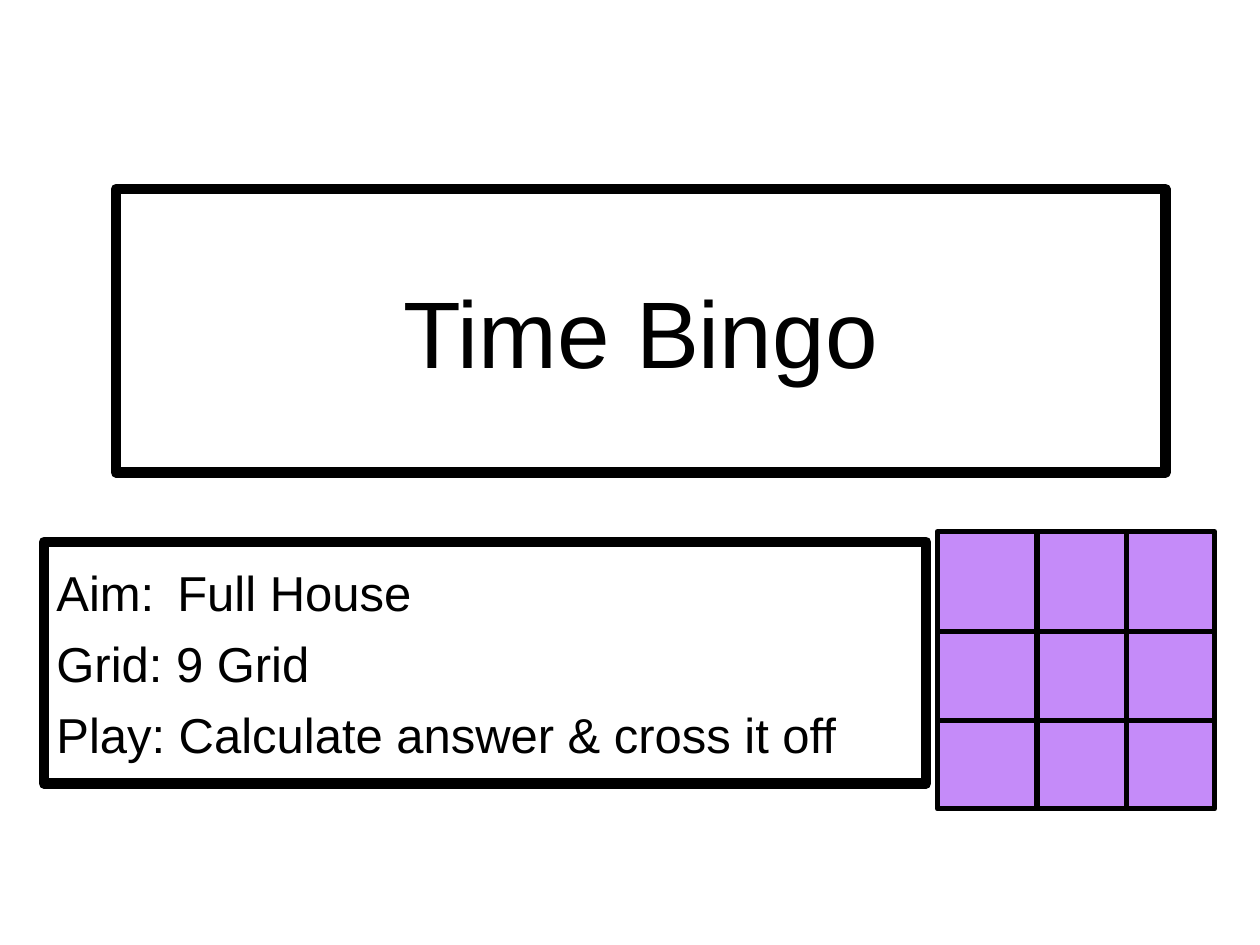
import pptx
import pptx.util
import pptx.dml.color
import pptx.enum.shapes
import pptx.enum.text
import pptx.oxml
import pptx.oxml.ns
from dataclasses import dataclass
from lxml import etree

Inches, Pt = pptx.util.Inches, pptx.util.Pt
RGB = pptx.dml.color.RGBColor.from_string
ALIGN = pptx.enum.text.PP_ALIGN
qn = pptx.oxml.ns.qn


@dataclass
class Theme:
    font: str = "Arial"
    ink: str = "000000"
    paper: str = "FFFFFF"
    card: str = "C58BF9"
    title_size: int = 54
    body_size: int = 28
    frame_width: int = 6
    grid_width: int = 3


class Builder:
    def __init__(self, slide, theme):
        self.s, self.theme = slide, theme

    def outline(self, sp, width):
        sp.line.color.rgb = RGB(self.theme.ink)
        sp.line.width = Pt(width)

    def frame(self, sp):
        """Half-transparent white box with a heavy outline."""
        sp.fill.solid()
        sp.fill.fore_color.rgb = RGB(self.theme.paper)
        color = sp.fill._xPr.find(qn("a:solidFill"))[0]
        etree.SubElement(color, qn("a:alpha"), val="50000")
        self.outline(sp, self.theme.frame_width)
        tf = sp.text_frame
        tf.word_wrap = True
        tf.auto_size = pptx.enum.text.MSO_AUTO_SIZE.NONE
        tf.vertical_anchor = pptx.enum.text.MSO_ANCHOR.MIDDLE
        return tf

    def style(self, p, size, align):
        p.alignment = align
        p.font.name = self.theme.font
        p.font.size = Pt(size)
        p.font.color.rgb = RGB(self.theme.ink)

    def title(self, text, x, y, w, h):
        sp = self.s.shapes.title
        sp.left, sp.top, sp.width, sp.height = map(Inches, (x, y, w, h))
        tf = self.frame(sp)
        tf.text = text
        self.style(tf.paragraphs[0], self.theme.title_size, ALIGN.CENTER)

    def rules(self, lines, x, y, w, h, tab):
        sp = self.s.shapes.add_textbox(*map(Inches, (x, y, w, h)))
        tf = self.frame(sp)
        for i, line in enumerate(lines):
            p = tf.paragraphs[0] if i == 0 else tf.add_paragraph()
            p.text = line
            if i:
                p.space_before = Pt(7)
            if "\t" in line:
                tabs = etree.SubElement(p._p.get_or_add_pPr(), qn("a:tabLst"))
                etree.SubElement(tabs, qn("a:tab"), pos=str(Inches(tab)), algn="l")
            self.style(p, self.theme.body_size, ALIGN.LEFT)

    def line(self, shapes, x1, y1, x2, y2):
        cn = shapes.add_connector(pptx.enum.shapes.MSO_CONNECTOR.STRAIGHT,
                                  *map(Inches, (x1, y1, x2, y2)))
        self.outline(cn, self.theme.grid_width)
        etree.SubElement(cn._element.spPr, qn("a:effectLst"))

    def bingo_grid(self, x, y, side, cuts):
        shapes = self.s.shapes.add_group_shape().shapes
        sp = shapes.add_shape(pptx.enum.shapes.MSO_SHAPE.RECTANGLE,
                              *map(Inches, (x, y, side, side)))
        sp.shadow.inherit = False
        sp.fill.solid()
        sp.fill.fore_color.rgb = RGB(self.theme.card)
        self.outline(sp, self.theme.grid_width)
        for cut in cuts:
            self.line(shapes, x + cut, y, x + cut, y + side)
        for cut in cuts:
            self.line(shapes, x, y + cut, x + side, y + cut)


def main():
    prs = pptx.Presentation()
    prs.slide_width, prs.slide_height = Inches(10), Inches(7.5)
    slide = prs.slides.add_slide(prs.slide_layouts[5])
    b = Builder(slide, Theme())

    # Game name
    b.title("Time Bingo", 0.92, 1.5, 8.33, 2.25)

    # How to play
    b.rules(["Aim:\tFull House", "Grid: 9 Grid",
             "Play: Calculate answer & cross it off"],
            0.35, 4.3, 7, 1.92, tab=0.96)

    # Nine-square card
    b.bingo_grid(7.44, 4.22, 2.2, cuts=(0.79, 1.5))

    prs.save("out.pptx")


if __name__ == "__main__":
    main()
